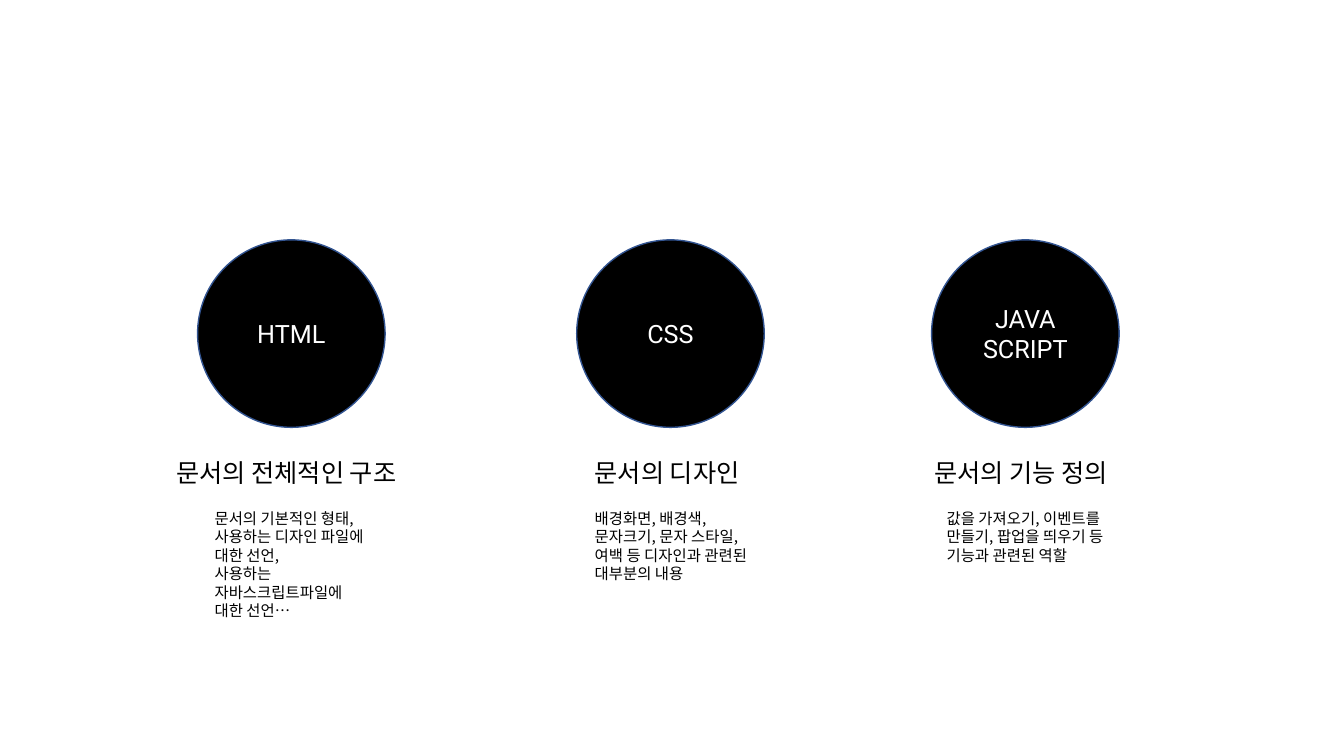
from lxml import etree
from pptx import Presentation
from pptx import util as u
from pptx.dml.color import RGBColor
from pptx.enum import shapes, text
from pptx.oxml.ns import qn

LATIN_FONT = "Roboto"
KOREAN_FONT = "Noto Sans CJK KR"
CIRCLE_SIZE = 1.86

# Circle left, label, heading box (left, width, text), description box (left, height, text)
COLUMNS = [
    (1.96, "HTML", (1.65, 2.47, "문서의 전체적인 구조"),
     (2.03, 1.03, "문서의 기본적인 형태,\v사용하는 디자인 파일에 대한 선언, \v"
                  "사용하는 자바스크립트파일에 대한 선언…")),
    (5.72, "CSS", (5.8, 1.69, "문서의 디자인"),
     (5.8, 0.84, "배경화면, 배경색, 문자크기, 문자 스타일, "
                 "여백 등 디자인과 관련된 대부분의 내용")),
    (9.24, "JAVA\nSCRIPT", (9.17, 2, "문서의 기능 정의"),
     (9.29, 0.84, "값을 가져오기, 이벤트를 만들기, "
                  "팝업을 띄우기 등 기능과 관련된 역할")),
]


def color(value):
    return RGBColor.from_string(value)


def write(text_frame, content, size, font_name, font_color, alignment):
    text_frame.text = content
    for paragraph in text_frame.paragraphs:
        paragraph.alignment = alignment
        for run in paragraph.runs:
            run.font.size = u.Pt(size)
            run.font.name = font_name
            run.font.color.rgb = color(font_color)
            # East Asian typeface for Korean glyphs
            east_asian = etree.SubElement(run.font._element, qn("a:ea"))
            east_asian.set("typeface", font_name)


def add_circle(slide, left, top, label):
    circle = slide.shapes.add_shape(
        shapes.MSO_SHAPE.OVAL, u.Inches(left), u.Inches(top),
        u.Inches(CIRCLE_SIZE), u.Inches(CIRCLE_SIZE))
    circle.shadow.inherit = False
    circle.fill.solid()
    circle.fill.fore_color.rgb = color("000000")
    circle.line.color.rgb = color("325491")
    circle.line.width = u.Pt(1)
    circle.text_frame.vertical_anchor = text.MSO_ANCHOR.MIDDLE
    write(circle.text_frame, label, 18, LATIN_FONT, "FFFFFF", text.PP_ALIGN.CENTER)


def add_text(slide, left, top, width, height, content, size, wrap):
    box = slide.shapes.add_textbox(
        u.Inches(left), u.Inches(top), u.Inches(width), u.Inches(height))
    box.text_frame.word_wrap = wrap
    box.text_frame.auto_size = text.MSO_AUTO_SIZE.SHAPE_TO_FIT_TEXT
    write(box.text_frame, content, size, KOREAN_FONT, "000000", text.PP_ALIGN.LEFT)


def add_column(slide, top, circle_left, label, heading, description):
    add_circle(slide, circle_left, top, label)

    # Heading under the circle
    left, width, content = heading
    add_text(slide, left, top + 2.11, width, 0.4, content, 18, False)

    # Description under the heading
    left, height, content = description
    add_text(slide, left, top + 2.62, 1.76, height, content, 11, True)


def main():
    presentation = Presentation()
    presentation.slide_width = u.Inches(13.33)
    presentation.slide_height = u.Inches(7.5)
    slide = presentation.slides.add_slide(presentation.slide_layouts[6])
    for column in COLUMNS:
        add_column(slide, 2.38, *column)
    presentation.save("out.pptx")


if __name__ == "__main__":
    main()
